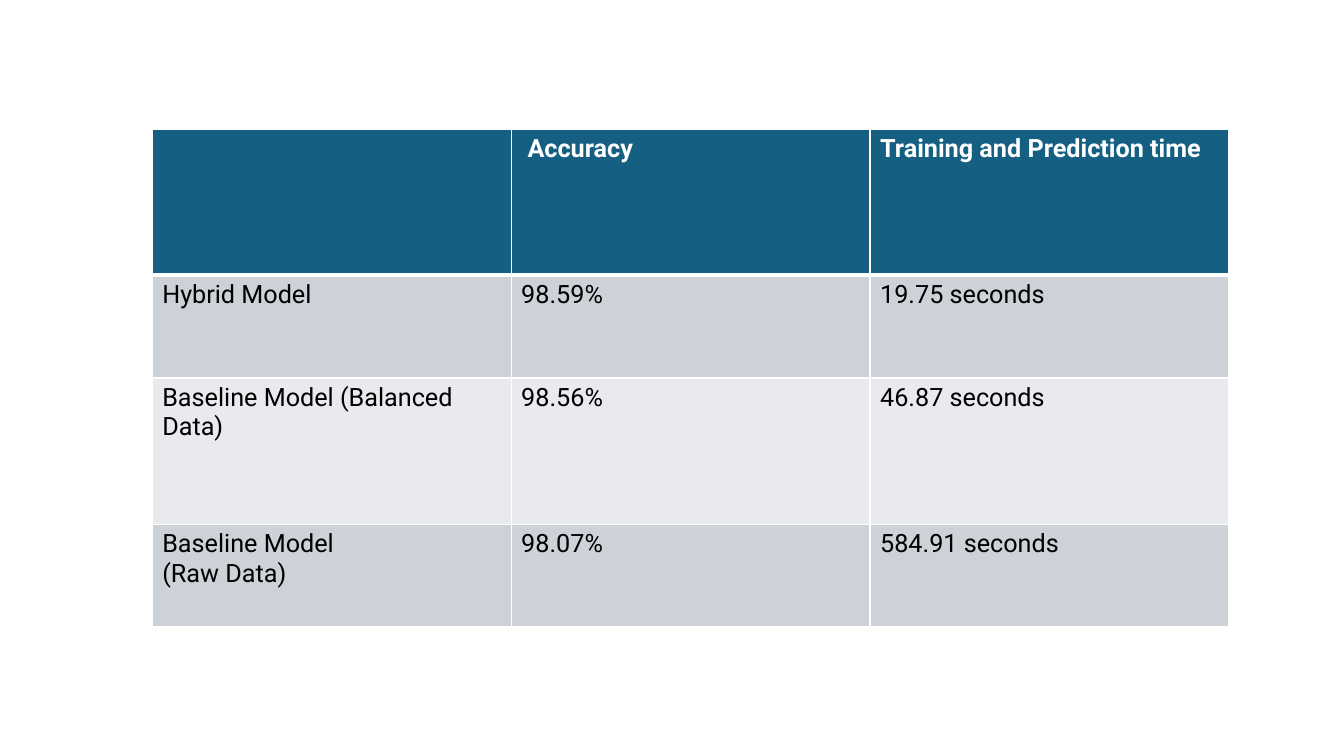
from lxml import etree
from pptx import Presentation
from pptx.dml.color import RGBColor
from pptx.oxml.ns import qn
from pptx.util import Inches, Pt

# Content: one tuple per row, "\n" starts a new paragraph
RESULTS = [
    ("", " Accuracy", "Training and Prediction time"),
    ("Hybrid Model", "98.59%", "19.75 seconds"),
    ("Baseline Model (Balanced Data)", "98.56%", "46.87 seconds"),
    ("Baseline Model\n(Raw Data)", "98.07%", "584.91 seconds"),
]

# Layout and style
LEFT, TOP = 1.51, 1.28
COLUMN_WIDTH = 3.56
ROW_HEIGHTS = [1.45, 1.02, 1.45, 1.02]
HEADER_FILL = "156082"
BAND_FILLS = ["E8EAED", "CCD2D8"]
WHITE, BLACK = "FFFFFF", "000000"


def color(hex_code):
    return RGBColor.from_string(hex_code)


def add_borders(cell, top, bottom):
    """Draw white lines round a cell; widths in points."""
    properties = cell._tc.get_or_add_tcPr()
    for side, width in (("L", 1), ("R", 1), ("T", top), ("B", bottom)):
        line = etree.SubElement(properties, qn(f"a:ln{side}"), w=str(Pt(width)))
        fill = etree.SubElement(line, qn("a:solidFill"))
        etree.SubElement(fill, qn("a:srgbClr"), val=WHITE)


def write_text(cell, text, is_header):
    frame = cell.text_frame
    for index, line in enumerate(text.split("\n")):
        paragraph = frame.add_paragraph() if index else frame.paragraphs[0]
        paragraph.font.size = Pt(18)
        if not line:
            continue
        run = paragraph.add_run()
        run.text = line
        run.font.name = "Roboto"
        run.font.size = Pt(18)
        run.font.bold = is_header
        run.font.color.rgb = color(WHITE if is_header else BLACK)


def main():
    deck = Presentation()
    deck.slide_width, deck.slide_height = Inches(13.33), Inches(7.5)
    slide = deck.slides.add_slide(deck.slide_layouts[6])

    # Table grid
    column_count = len(RESULTS[0])
    results_table = slide.shapes.add_table(
        len(RESULTS), column_count, Inches(LEFT), Inches(TOP),
        Inches(COLUMN_WIDTH * column_count), Inches(sum(ROW_HEIGHTS))).table
    for column in results_table.columns:
        column.width = Inches(COLUMN_WIDTH)
    for row, height in zip(results_table.rows, ROW_HEIGHTS):
        row.height = Inches(height)

    # Cells: thick rule under the header, banded rows below
    for row_index, texts in enumerate(RESULTS):
        is_header = row_index == 0
        row_fill = HEADER_FILL if is_header else BAND_FILLS[row_index % 2]
        for column_index, text in enumerate(texts):
            cell = results_table.cell(row_index, column_index)
            add_borders(cell, top=3 if row_index == 1 else 1,
                        bottom=3 if is_header else 1)
            cell.fill.solid()
            cell.fill.fore_color.rgb = color(row_fill)
            write_text(cell, text, is_header)

    deck.save("out.pptx")


if __name__ == "__main__":
    main()
